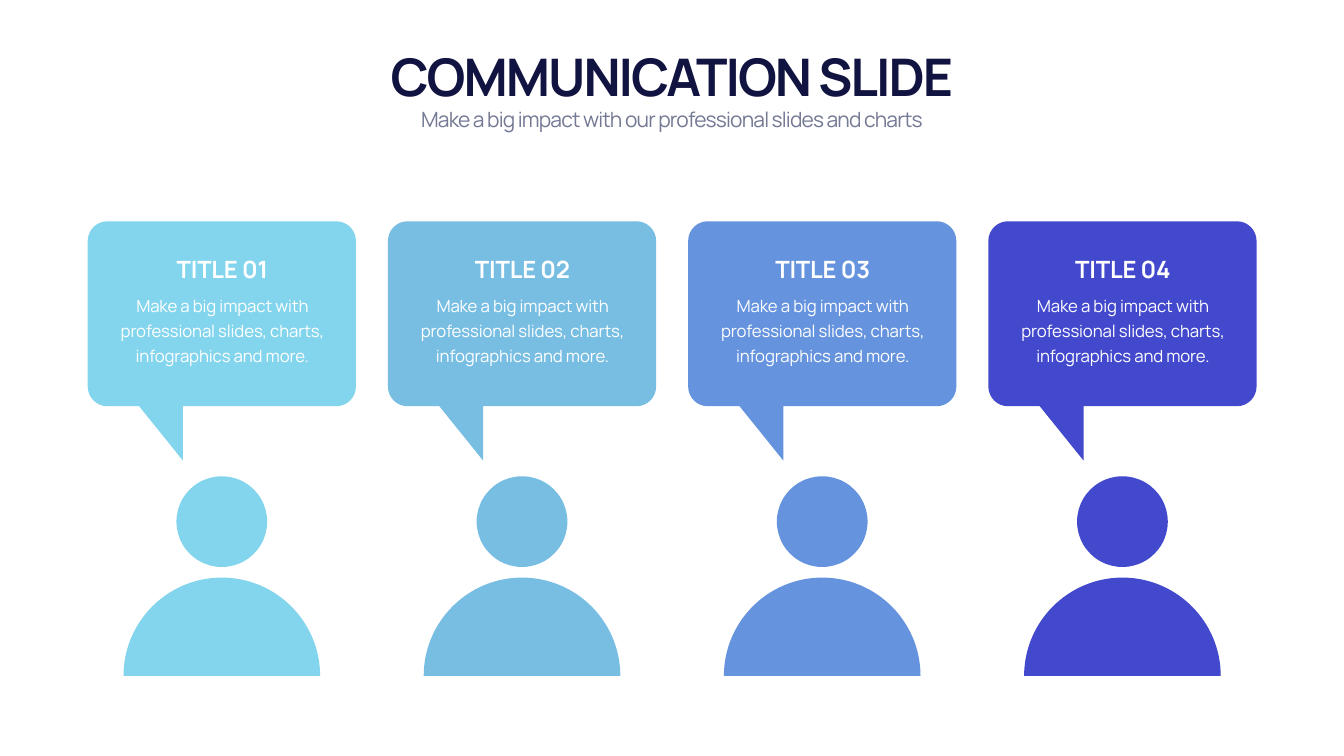
from pptx import Presentation
from pptx.dml.color import RGBColor
from pptx.enum import shapes, text
from pptx.oxml.ns import qn
from pptx.util import Pt

PX = 4572  # EMU per px, 200 px to the inch
ROUND = 0.5523  # control point distance of a quarter circle, in radii
COLORS = {"ink": "111340", "muted": "747994", "white": "FFFFFF"}
PEOPLE = {"TITLE 01": "83D5ED", "TITLE 02": "78BEE3",
          "TITLE 03": "6593DE", "TITLE 04": "4349CC"}
MESSAGE = "Make a big impact with professional slides, charts, infographics and more."

# Text formats; spacing is in hundredths of a point
TITLE = {"size": Pt(74), "bold": True, "color": "ink", "spacing": -290}
SUBTITLE = {"size": Pt(30), "bold": False, "color": "muted", "spacing": -120}
HEADING = {"size": Pt(34), "bold": True, "color": "white", "spacing": -30}
BODY = {"size": Pt(24), "bold": False, "color": "white", "spacing": -20}


def place(sp, box):
    for name, value in zip(("left", "top", "width", "height"), box):
        setattr(sp, name, value * PX)


def write(sp, content, fmt, anchor, line_spacing=None):
    tf = sp.text_frame
    frame = {"word_wrap": True, "auto_size": text.MSO_AUTO_SIZE.NONE,
             "vertical_anchor": anchor}
    for name, value in frame.items():
        setattr(tf, name, value)
    p = tf.paragraphs[0]
    p.alignment = text.PP_ALIGN.CENTER
    p.line_spacing = line_spacing
    r = p.add_run()
    r.text = content
    for name, value in {"name": "Manrope", "size": fmt["size"], "bold": fmt["bold"]}.items():
        setattr(r.font, name, value)
    r.font.color.rgb = RGBColor.from_string(COLORS[fmt["color"]])
    r._r.get_or_add_rPr().set("spc", str(fmt["spacing"]))


def add_text(s, box, *args):
    sp = s.shapes.add_textbox(0, 0, 0, 0)
    place(sp, box)
    write(sp, *args)


def paint(sp, color):
    sp.shadow.inherit = False
    sp.fill.solid()
    sp.fill.fore_color.rgb = RGBColor.from_string(color)
    sp.line.fill.background()


def quarter(start, corner, end):
    """Curve from start to end, rounding off the corner between them."""
    controls = [tuple(a + (c - a) * ROUND for a, c in zip(point, corner))
                for point in (start, end)]
    return [*controls, end]


def add_outline(s, start, segments, color):
    """Closed outline; a segment is one point (line) or three (curve)."""
    builder = s.shapes.build_freeform(*start, scale=PX)
    builder.add_line_segments([pt for seg in segments for pt in seg], close=True)
    sp = builder.convert_to_shape()
    # Join the three points of each curve
    lines = iter(list(sp._element.iter(qn("a:lnTo"))))
    for seg in segments:
        first, *rest = [next(lines) for _ in seg]
        if rest:
            curve = first.makeelement(qn("a:cubicBezTo"))
            first.addprevious(curve)
            for line in (first, *rest):
                curve.append(line[0])
                line.getparent().remove(line)
    paint(sp, color)


def add_header(s, x, y, w):
    place(s.shapes.title, (x, y, w, 270))
    write(s.shapes.title, "COMMUNICATION SLIDE", TITLE, text.MSO_ANCHOR.BOTTOM)
    add_text(s, (x, y + 250, w, 122),
             "Make a big impact with our professional slides and charts",
             SUBTITLE, text.MSO_ANCHOR.TOP)


def add_person(s, x, y, w, h, color):
    # Head
    head, radius = 360, 390
    sp = s.shapes.add_shape(shapes.MSO_SHAPE.OVAL, 0, 0, 0, 0)
    place(sp, (x + (w - head) // 2, y, head, head))
    paint(sp, color)
    # Shoulders
    middle, bottom = x + w // 2, y + h
    left, right, top = middle - radius, middle + radius, bottom - radius
    add_outline(s, (left, bottom), [
        quarter((left, bottom), (left, top), (middle, top)),
        quarter((middle, top), (right, top), (right, bottom)),
    ], color)


def add_bubble(s, x, y, w, h, color):
    # Rounded box with a tail below its left part
    d, right, bottom = 78, x + w, y + h
    add_outline(s, (x + d, y), [
        [(right - d, y)],
        quarter((right - d, y), (right, y), (right, y + d)),
        [(right, bottom - d)],
        quarter((right, bottom - d), (right, bottom), (right - d, bottom)),
        [(x + 378, bottom)], [(x + 378, bottom + 216)], [(x + 204, bottom)],
        [(x + d, bottom)],
        quarter((x + d, bottom), (x, bottom), (x, bottom - d)),
        [(x, y + d)],
        quarter((x, y + d), (x, y), (x + d, y)),
    ], color)


def add_wording(s, x, y, w, heading):
    add_text(s, (x, y, w, 134), heading, HEADING, text.MSO_ANCHOR.BOTTOM)
    add_text(s, (x, y + 143, w, 318), MESSAGE, BODY, text.MSO_ANCHOR.TOP, Pt(36))


def main():
    prs = Presentation()
    prs.slide_width, prs.slide_height = 5332 * PX, 3000 * PX
    s = prs.slides.add_slide(prs.slide_layouts[5])
    add_header(s, 332, 164, 4667)
    for i, (heading, color) in enumerate(PEOPLE.items()):
        x = 348 + 1191 * i
        add_person(s, x, 1890, 1064, 792, color)
        add_bubble(s, x, 878, 1064, 734, color)
        add_wording(s, x + 52, 1000, 964, heading)
    prs.save("out.pptx")


if __name__ == "__main__":
    main()
